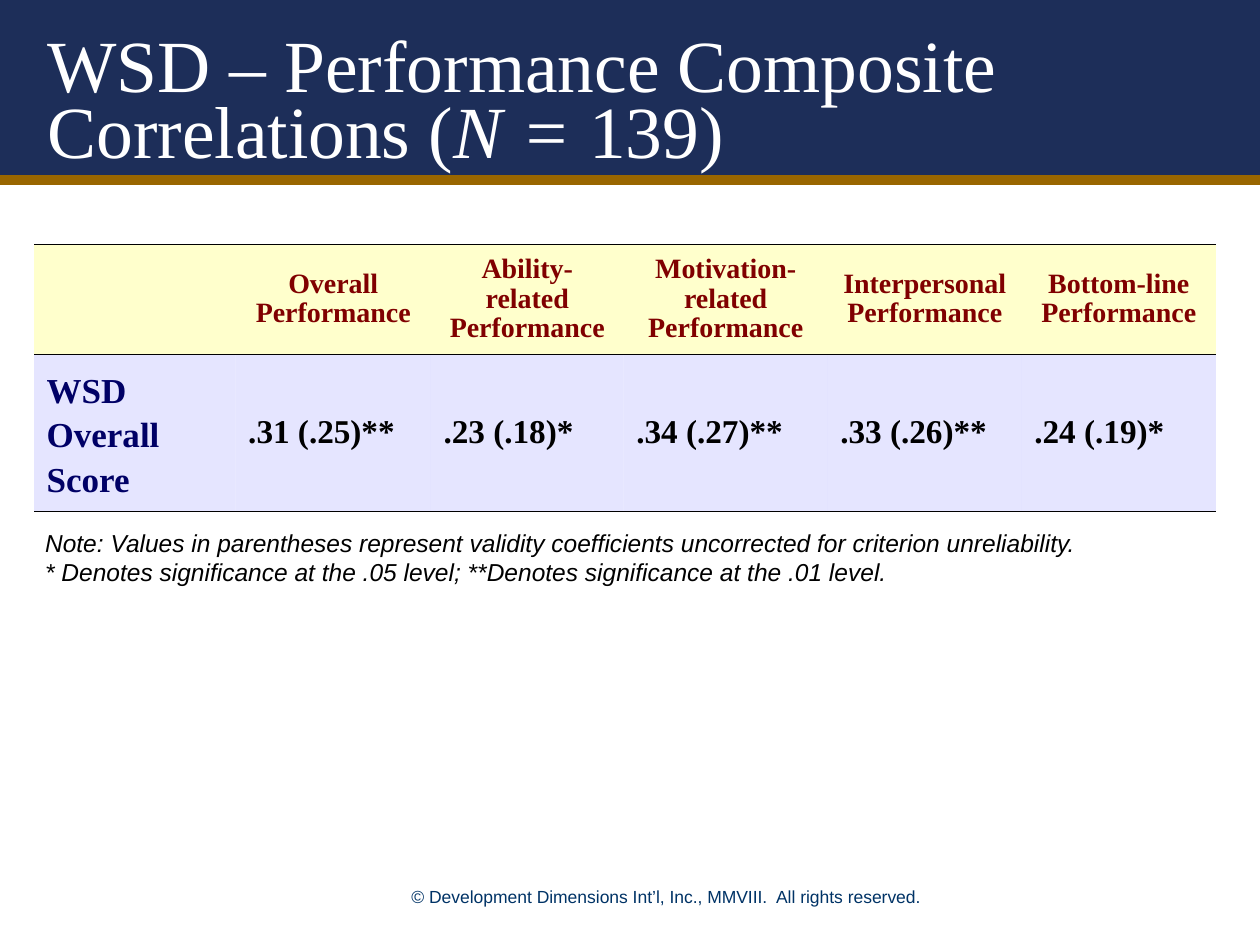
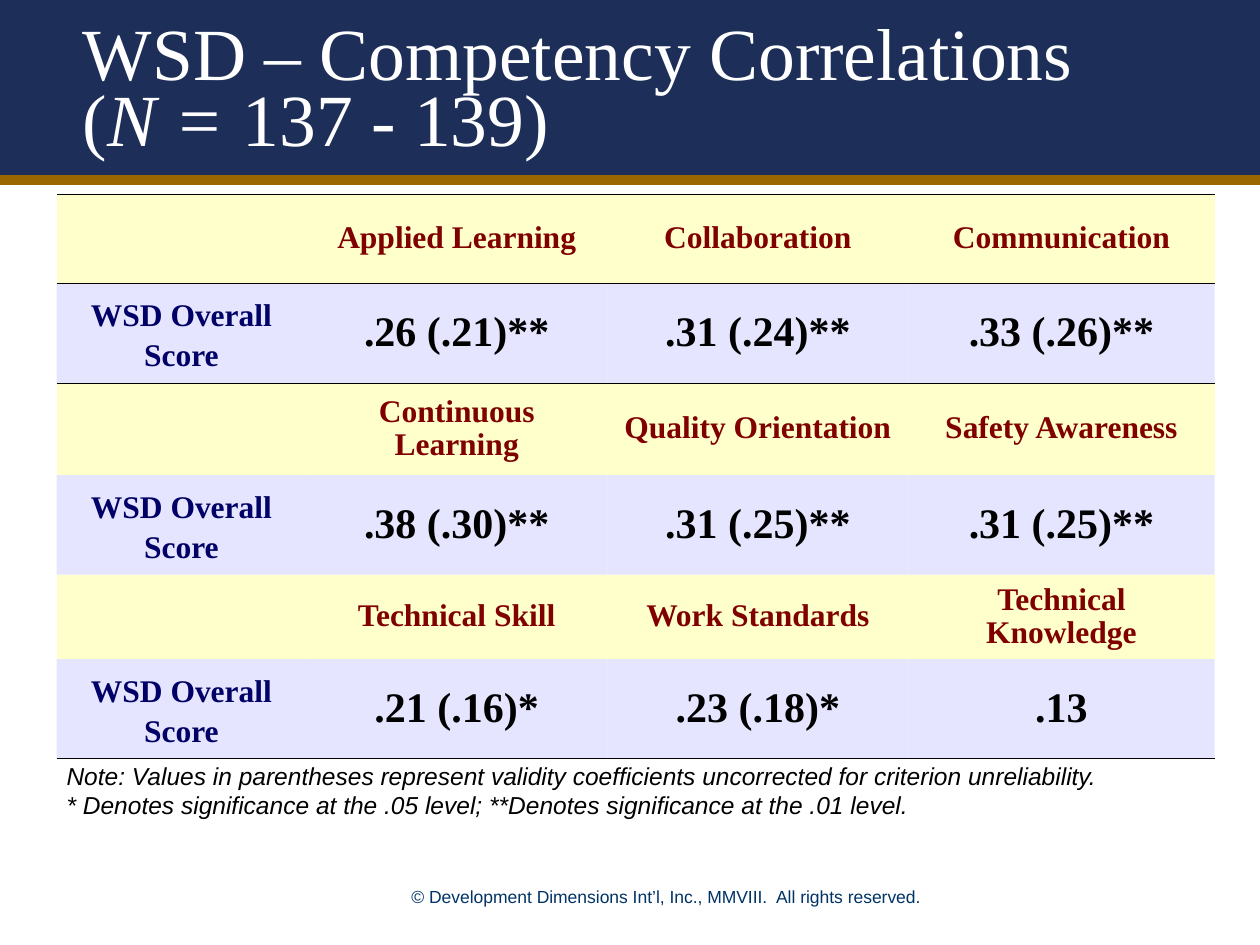
from lxml.etree import SubElement
from pptx import Presentation
from pptx.dml.color import RGBColor
from pptx.enum.shapes import MSO_CONNECTOR as CONN, MSO_SHAPE as SHAPE
from pptx.enum.text import MSO_ANCHOR as ANCHOR, PP_ALIGN as ALIGN
from pptx.oxml import parse_xml
from pptx.oxml.ns import nsdecls, qn
from pptx.util import Inches, Pt

COLORS = {
    "navy": "1D2E59", "gold": "996600", "footer": "003366", "white": "FFFFFF",
    "black": "000000", "cream": "FFFFCC", "lilac": "CCCCFF",
    "maroon": "800000", "label": "000066",
}
SERIF, SANS = "Times New Roman", "Arial"
NO_STYLE = "{2D5ABB26-0587-4C30-8999-92F81FD0307C}"
FOOTER = "© Development Dimensions Int’l, Inc., MMVIII.  All rights reserved."
NOTE = (
    "Note: Values in parentheses represent validity coefficients uncorrected for criterion unreliability.",
    "* Denotes significance at the .05 level; **Denotes significance at the .01 level.",
)
LABEL = "WSD Overall Score"


def rgb(name):
    return RGBColor.from_string(COLORS[name])


def inches(values):
    return [Inches(v) for v in values]


def set_font(p, face, size, color, bold=False, italic=False):
    p.font.name, p.font.size = face, Pt(size)
    p.font.color.rgb = rgb(color)
    p.font.bold, p.font.italic = bold, italic


def add_box(s, box):
    tf = s.shapes.add_textbox(*inches(box)).text_frame
    tf.word_wrap = True
    return tf


def add_frame(s):
    band = s.shapes.add_shape(SHAPE.RECTANGLE, *inches((0, 0, 10, 1.42)))
    band.shadow.inherit = False
    band.fill.solid()
    band.fill.fore_color.rgb = rgb("navy")
    band.line.fill.background()

    rule = s.shapes.add_connector(CONN.STRAIGHT, *inches((0, 1.43, 10, 1.43)))
    rule.line.color.rgb = rgb("gold")
    rule.line.width = Pt(6)
    SubElement(rule._element.spPr, qn("a:effectLst"))

    p = add_box(s, (2.06, 6.98, 6.45, 0.27)).paragraphs[0]
    p.text = FOOTER
    p.alignment = ALIGN.CENTER
    set_font(p, SANS, 10, "footer")


def add_title(s, box, parts):
    tf = add_box(s, box)
    tf.vertical_anchor = ANCHOR.BOTTOM
    p = tf.paragraphs[0]
    p.line_spacing = 0.75
    set_font(p, SERIF, 42, "white")
    for i, part in enumerate(parts):
        r = p.add_run()
        r.text = part
        r.font.italic = i % 2 == 1


def add_note(s, box):
    tf = add_box(s, box)
    tf.text = "\n".join(NOTE)
    for p in tf.paragraphs:
        set_font(p, SANS, 14, "black", italic=True)


def set_border(cell, side):
    tc_pr = cell._tc.get_or_add_tcPr()
    ln = parse_xml(
        f'<a:{side} {nsdecls("a")} w="{Pt(0.45)}"><a:solidFill>'
        f'<a:srgbClr val="{COLORS["black"]}"/></a:solidFill></a:{side}>'
    )
    tc_pr.insert(len(tc_pr.findall(qn("a:lnT"))), ln)


def fill_cell(cell, color, alpha=None):
    cell.fill.solid()
    cell.fill.fore_color.rgb = rgb(color)
    if alpha:
        clr = cell._tc.tcPr.find(f'{qn("a:solidFill")}/{qn("a:srgbClr")}')
        SubElement(clr, qn("a:alpha"), val=str(alpha * 1000))


def add_correlations(s, box, widths, heights, rows, sizes, body_align):
    head_size, label_size, value_size = sizes
    table = s.shapes.add_table(len(rows), len(widths), *inches(box)).table
    table.first_row = table.horz_banding = False
    table._tbl.tblPr.find(qn("a:tableStyleId")).text = NO_STYLE
    for col, width in zip(table.columns, widths):
        col.width = Inches(width)
    for i, (row, height, texts) in enumerate(zip(table.rows, heights, rows)):
        row.height = Inches(height)
        is_head = i % 2 == 0
        for j, (cell, text) in enumerate(zip(row.cells, texts)):
            cell.vertical_anchor = ANCHOR.MIDDLE
            fill_cell(cell, *(("cream",) if is_head else ("lilac", 50)))
            if i < 2:
                set_border(cell, "lnT")
            if i in (0, len(rows) - 1):
                set_border(cell, "lnB")
            p = cell.text_frame.paragraphs[0]
            p.text = text
            p.alignment = ALIGN.CENTER if is_head else body_align
            p.line_spacing = 0.95
            if is_head:
                set_font(p, SERIF, head_size, "maroon", bold=True)
            elif j == 0:
                p.line_spacing = 1.15
                set_font(p, SERIF, label_size, "label", bold=True)
            else:
                set_font(p, SERIF, value_size, "black", bold=True)


def build_performance(s):
    add_frame(s)
    add_title(s, (0.28, 0.14, 9.33, 1.27),
              ("WSD – Performance Composite Correlations (", "N = ", "139)"))
    add_note(s, (0.26, 4.14, 9.33, 0.57))
    rows = (
        ("", "Overall Performance", "Ability-related Performance",
         "Motivation-related Performance", "Interpersonal Performance",
         "Bottom-line Performance"),
        (LABEL, ".31 (.25)**", ".23 (.18)*", ".34 (.27)**", ".33 (.26)**", ".24 (.19)*"),
    )
    add_correlations(s, (0.27, 1.94, 9.4, 2.13), (1.6, 1.55, 1.53, 1.62, 1.54, 1.54),
                     (0.87, 1.25), rows, (16, 20, 19), ALIGN.LEFT)


def build_competency(s):
    add_frame(s)
    add_title(s, (0.56, 0, 8.61, 1.32),
              ("WSD – Competency Correlations (", "N = ", "137 ", "- ", "139)"))
    rows = (
        ("", "Applied Learning", "Collaboration", "Communication"),
        (LABEL, ".26 (.21)**", ".31 (.24)**", ".33 (.26)**"),
        ("", "Continuous Learning", "Quality Orientation", "Safety Awareness"),
        (LABEL, ".38 (.30)**", ".31 (.25)**", ".31 (.25)**"),
        ("", "Technical Skill", "Work Standards", "Technical Knowledge"),
        (LABEL, ".21 (.16)*", ".23 (.18)*", ".13"),
    )
    add_correlations(s, (0.45, 1.54, 9.18, 4.49), (1.98, 2.39, 2.39, 2.43),
                     (0.71, 0.79, 0.73, 0.79, 0.67, 0.79), rows, (18, 18, 24), ALIGN.CENTER)
    add_note(s, (0.43, 5.99, 9.14, 0.57))


def main():
    prs = Presentation()
    prs.slide_width, prs.slide_height = Inches(10), Inches(7.5)
    for build in (build_performance, build_competency):
        build(prs.slides.add_slide(prs.slide_layouts[6]))
    prs.save("out.pptx")


if __name__ == "__main__":
    main()
